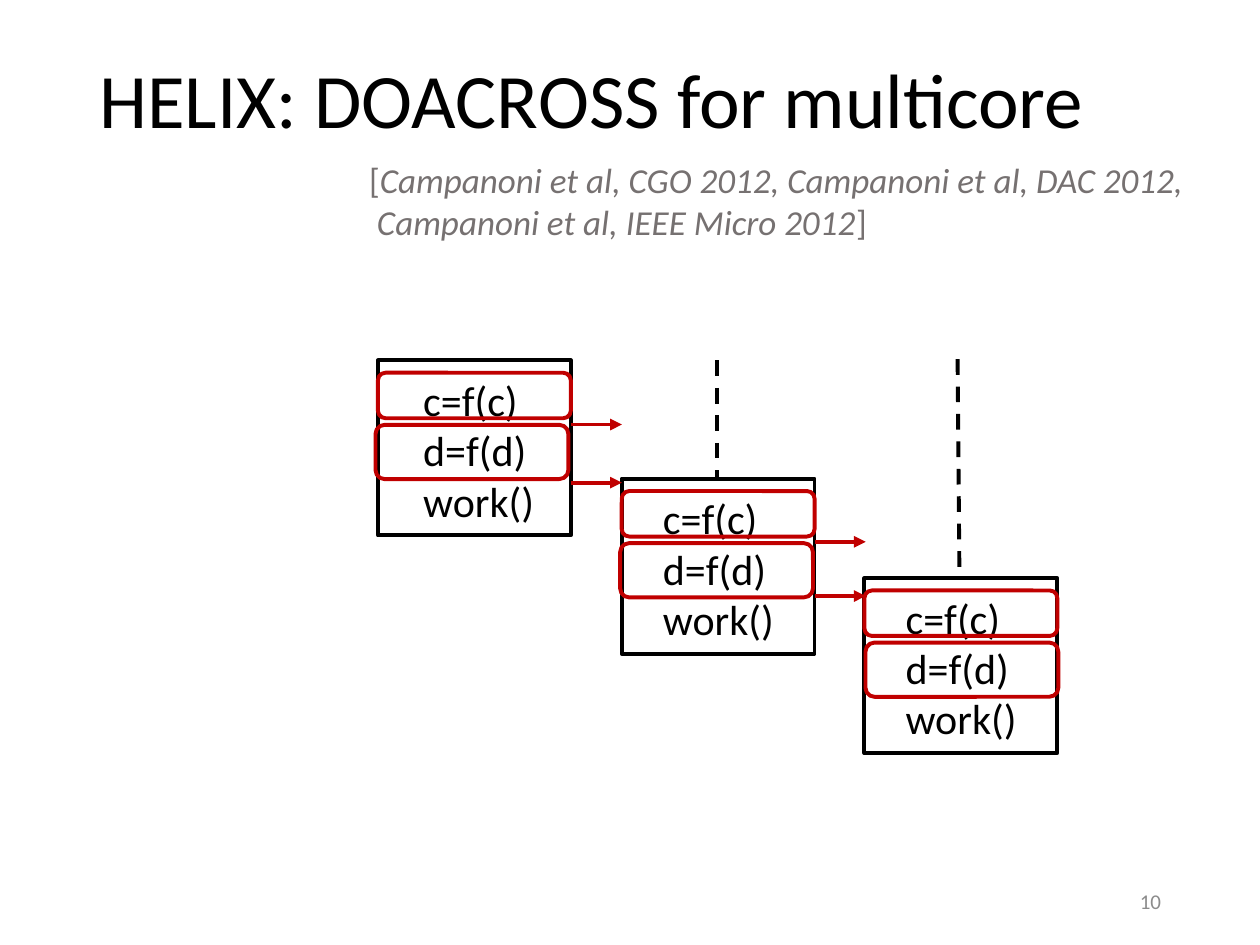
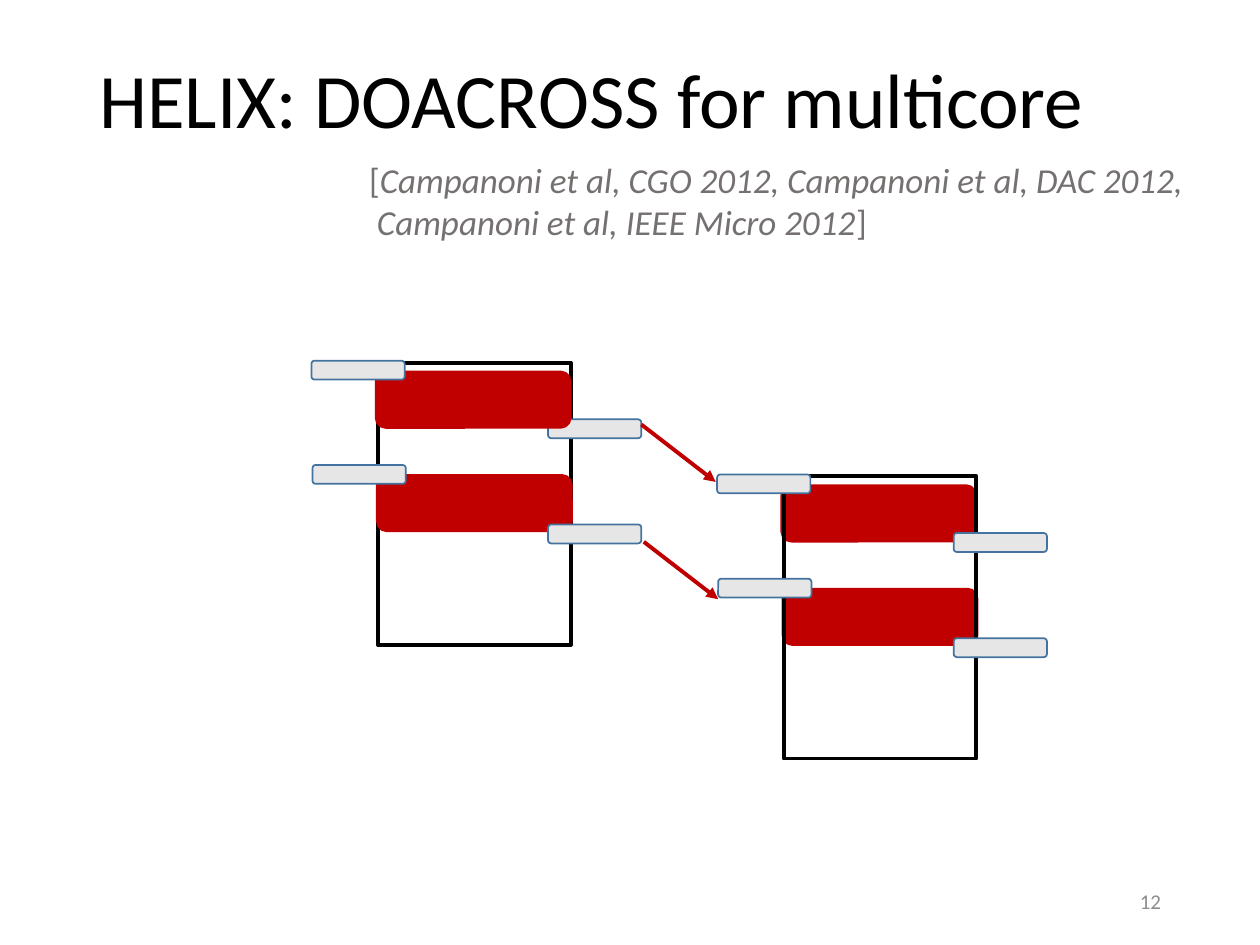
from pptx import Presentation
from pptx.dml.color import RGBColor
from pptx.enum.dml import MSO_LINE
from pptx.enum.shapes import MSO_CONNECTOR, MSO_SHAPE
from pptx.enum.text import MSO_ANCHOR, PP_ALIGN
from pptx.oxml.ns import qn
from pptx.util import Pt
from lxml.etree import SubElement

BLACK, WHITE, RED = "000000", "FFFFFF", "C00000"
GREY, PALE, BLUE, DIM = "767171", "E7E6E6", "43739E", "8C8C8C"
RECT, ROUND = MSO_SHAPE.RECTANGLE, MSO_SHAPE.ROUNDED_RECTANGLE
TITLE = "HELIX: DOACROSS for multicore"
CODE = ["c=f(c)", "d=f(d)", "work()"]
FONT = {"name": "Calibri", "bold": False}
WIDTH = 110.2

FRAME = (RECT, None, BLACK, 2.25)
BLOCK = (ROUND, RED, RED, 2.25)
LOCK = (ROUND, PALE, BLUE, 1)
PARTS = {
    "frame": (0, 0, WIDTH, 161.3, FRAME),
    "c": (-0.7, 5.7, WIDTH, 31, BLOCK),
    "d": (0, 64.8, WIDTH, 31, BLOCK),
    "c in": (-38, -1.1, 53.3, 10.8, LOCK),
    "c out": (97.2, 32.4, 53.3, 10.8, LOCK),
    "d in": (-37.4, 58.5, 53.3, 10.8, LOCK),
    "d out": (97.2, 92.5, 53.3, 10.8, LOCK),
}


def put(item, values):
    for name, value in values.items():
        setattr(item, name, value)


def points(values):
    return [Pt(value) for value in values]


def tint(color, code):
    color.rgb = RGBColor.from_string(code)


def write(para, text, size, color, slant=False):
    run = para.add_run()
    run.text = text
    put(run.font, FONT | {"size": Pt(size), "italic": slant})
    tint(run.font.color, color)


def add_text(slide, area, values):
    frame = slide.shapes.add_textbox(*points(area)).text_frame
    put(frame, values)
    return frame


def add_box(slide, area, style):
    form, fill, line, width = style
    box = slide.shapes.add_shape(form, *points(area))
    box.shadow.inherit = False
    if fill:
        box.fill.solid()
        tint(box.fill.fore_color, fill)
    else:
        box.fill.background()
    tint(box.line.color, line)
    box.line.width = Pt(width)


def add_line(slide, ends, color, values):
    link = slide.shapes.add_connector(MSO_CONNECTOR.STRAIGHT, *points(ends))
    tint(link.line.color, color)
    put(link.line, {"width": Pt(2.25)} | values)
    prop = link._element.spPr
    SubElement(prop, qn("a:effectLst"))
    return prop.find(qn("a:ln"))


def add_dash(slide, *ends):
    add_line(slide, ends, BLACK, {"dash_style": MSO_LINE.DASH})


def add_arrow(slide, *ends):
    line = add_line(slide, ends, RED, {})
    SubElement(line, qn("a:tailEnd"), type="triangle")


def add_slide(deck, number):
    slide = deck.slides.add_slide(deck.slide_layouts[5])
    title = slide.shapes.title
    put(title, dict(zip(("left", "top", "width", "height"),
                        points((49.5, 7.2, 621, 104.4)))))
    put(title.text_frame, {"vertical_anchor": MSO_ANCHOR.MIDDLE, "word_wrap": True})
    para = title.text_frame.paragraphs[0]
    put(para, {"alignment": PP_ALIGN.LEFT, "line_spacing": 0.9})
    write(para, TITLE, 44, BLACK)

    para = add_text(slide, (203.8, 87.1, 483, 55.4), {"word_wrap": False}).paragraphs[0]
    write(para, "[", 20, GREY)
    write(para, "Campanoni et al, CGO 2012, Campanoni et al, DAC 2012,", 20, GREY, True)
    para.add_line_break()
    write(para, " Campanoni et al, IEEE Micro 2012", 20, GREY, True)
    write(para, "]", 20, GREY)

    foot = add_text(slide, (508.5, 500.5, 162, 28.8),
                    {"vertical_anchor": MSO_ANCHOR.MIDDLE, "word_wrap": True})
    foot.paragraphs[0].alignment = PP_ALIGN.RIGHT
    write(foot.paragraphs[0], number, 12, DIM)
    return slide


def add_core(slide, left, top, inset, shift):
    add_box(slide, (left, top, WIDTH, 100), (RECT, WHITE, BLACK, 2.25))
    frame = add_text(slide, (left + inset, top + 4.4, 78.5, 94.3), {"word_wrap": False})
    for row, text in enumerate(CODE):
        para = frame.paragraphs[0] if row == 0 else frame.add_paragraph()
        write(para, text, 24, BLACK)
    mark = (ROUND, None, RED, 2.25)
    add_box(slide, (left + shift, top + 36.8, WIDTH, 31), mark)
    add_box(slide, (left, top + 7, WIDTH, 26), mark)


def add_stage(slide, left, top, order):
    for name in order:
        x, y, width, height, style = PARTS[name]
        add_box(slide, (left + x, top + y, width, height), style)


def main():
    deck = Presentation()
    put(deck, {"slide_width": Pt(720), "slide_height": Pt(540)})

    slide = add_slide(deck, "10")
    add_dash(slide, 409.7, 206, 409.7, 373.7)
    add_dash(slide, 547.2, 205.2, 548.6, 368.6)
    for core in ((216, 206, 18.7, -1.4), (355.3, 273.6, 16.4, -0.9),
                 (494, 330.4, 16.4, 0.6)):
        add_core(slide, *core)
    for left, rows in ((326.2, (242.6, 275.8)), (465.5, (309.6, 340.6))):
        for y in rows:
            add_arrow(slide, left, y, left + 29.2, y)

    slide = add_slide(deck, "12")
    add_stage(slide, 447.8, 272.2,
              ("c", "d", "frame", "c in", "c out", "d out", "d in"))
    add_stage(slide, 216, 207.2,
              ("frame", "d", "d out", "d in", "c out", "c", "c in"))
    for x, y in ((366.5, 242.6), (367.9, 309.6)):
        add_arrow(slide, x, y, x + 42.5, y + 32.8)

    deck.save("out.pptx")


if __name__ == "__main__":
    main()
